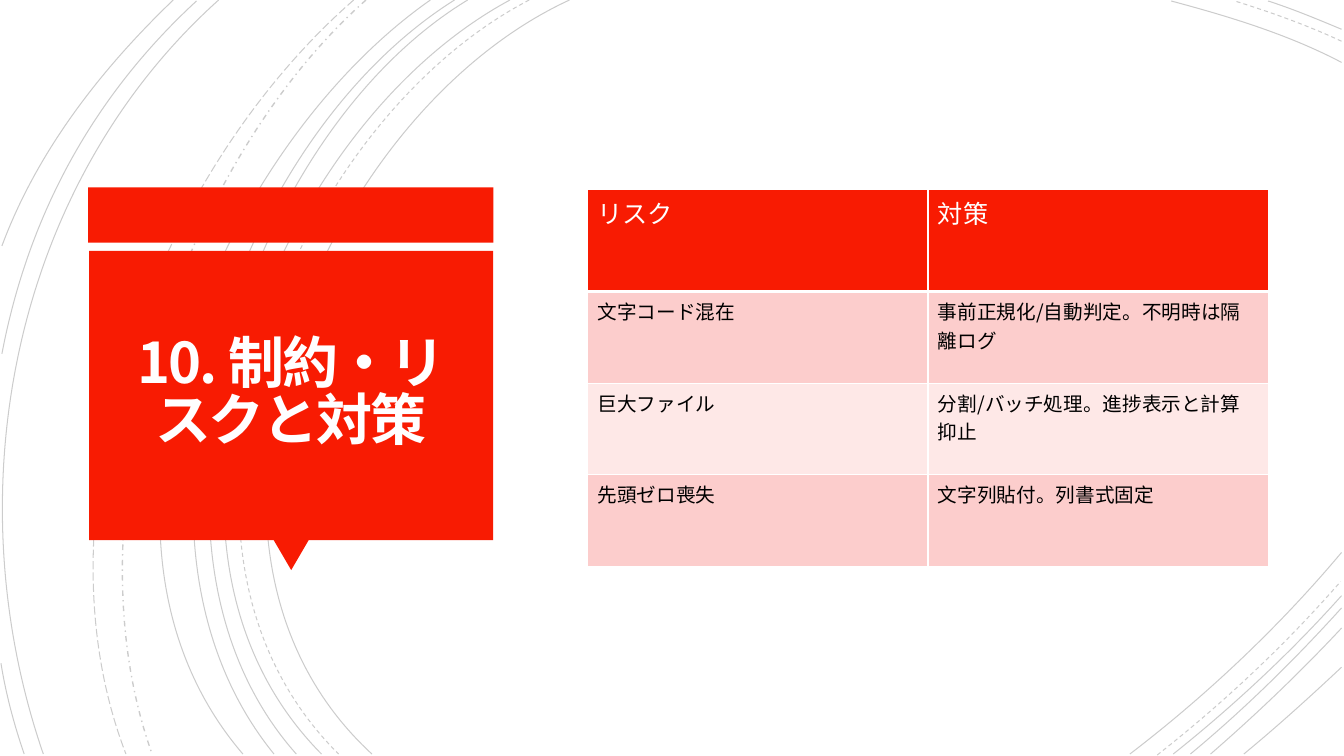
from lxml.etree import SubElement
from pptx import Presentation
from pptx.dml.color import RGBColor
from pptx.enum.dml import MSO_LINE
from pptx.enum.shapes import MSO_SHAPE
from pptx.enum.text import MSO_ANCHOR, PP_ALIGN
from pptx.oxml.ns import qn
from pptx.util import Pt

# Content
TITLE = "10. 制約・リスクと対策"
RISKS = [
    ("リスク", "対策"),
    ("文字コード混在", "事前正規化/自動判定。不明時は隔離ログ"),
    ("巨大ファイル", "分割/バッチ処理。進捗表示と計算抑止"),
    ("先頭ゼロ喪失", "文字列貼付。列書式固定"),
]

THEME = {
    "font": "Noto Sans CJK JP",
    "accent": "F81B02", "title": "FFFEFF", "white": "FFFFFF", "ink": "000000",
    "bands": ("FCCDCC", "FEE8E7"),
    "title_size": 40, "head_size": 18, "body_size": 14,
    "arc_opacity": 20, "arc_width": 0.75, "border": 1, "head_border": 3,
}

# Background arcs by dash style: start, two control points and end, in points
ARCS = {
    MSO_LINE.SOLID: [
        (406.8, 0, 226.8, 82.8, 103, 388.8, 265.7, 538.6),
        (958.3, 44.6, 920.2, 24.5, 877, 11.5, 836.6, 0.7),
        (807.1, 538.6, 861.8, 496.8, 913.7, 447.8, 958.3, 394.6),
        (364.3, 0, 194.4, 91.4, 79.2, 386.6, 229.7, 538.6),
        (958.3, 20.9, 941, 13.7, 923.8, 6.5, 905.8, 0.7),
        (838.1, 538.6, 880.6, 504.7, 921.6, 466.6, 958.3, 425.5),
        (334.1, 0, 175.7, 95.8, 79.2, 389.5, 211.7, 538.6),
        (850.3, 538.6, 888.5, 506.9, 924.5, 471.6, 958.3, 434.2),
        (324.7, 0, 166.3, 99.4, 69.8, 383.8, 195.8, 538.6),
        (864.7, 538.6, 897.1, 510.5, 928.8, 480.2, 958.3, 448.6),
        (307.4, 0, 156.2, 105.8, 38.2, 380.9, 173.5, 538.6),
        (888.5, 538.6, 912.2, 519.1, 935.3, 498.2, 958.3, 476.6),
        (156.2, 0, 7.9, 133.2, -33.1, 352.8, 31, 538.6),
        (140.4, 0.7, 66.2, 69.1, 20.2, 154.1, 1.4, 252.7),
        (0.7, 473.8, 4.3, 496.1, 10.1, 517.7, 17.3, 538.6),
        (123.8, 0, 72, 49.7, 26.6, 108, 1.4, 175.7),
    ],
    MSO_LINE.DASH: [
        (378, 0, 205.2, 90, 88.6, 386.6, 241.9, 538.6),
        (958.3, 29.5, 933.8, 18, 907.2, 8.6, 882, 0.7),
        (826.6, 539.3, 873.4, 502.6, 918, 460.8, 957.6, 415.4),
    ],
    MSO_LINE.DASH_DOT: [(261.4, 0, 126.7, 119.5, 46.8, 366.5, 108.7, 538.6)],
    MSO_LINE.LONG_DASH: [(252.7, 0, 113, 121.7, 20.9, 359.3, 90, 538.6)],
}

# Title panel: shape, left, top, width, height, rotation
PANEL = [
    (MSO_SHAPE.RECTANGLE, 63, 133.8, 289.4, 39.6, 0),
    (MSO_SHAPE.ISOSCELES_TRIANGLE, 195.4, 385.6, 25.2, 21.6, 180),
    (MSO_SHAPE.RECTANGLE, 63.6, 179.3, 288.7, 206.6, 0),
]
TITLE_BOX = (69.8, 185, 275.8, 193.7)
TITLE_INSET = 18
TABLE_LEFT, TABLE_TOP, COL_WIDTH = 419.6, 135.2, 243.2
HEAD_HEIGHT, ROW_HEIGHT = 73.1, 65.4


def rgb(name):
    return RGBColor.from_string(THEME.get(name, name))


def draw_arc(s, curve, dash):
    x, y, *rest = map(Pt, curve)
    builder = s.shapes.build_freeform(x, y)
    builder.add_line_segments(list(zip(rest[::2], rest[1::2])), close=False)
    sp = builder.convert_to_shape()
    sp.shadow.inherit = False
    sp.fill.background()
    sp.line.color.rgb = rgb("ink")
    sp.line.width = Pt(1 if dash == MSO_LINE.DASH_DOT else THEME["arc_width"])
    sp.line.dash_style = dash
    color = next(sp.line._ln.iter(qn("a:srgbClr")))
    SubElement(color, qn("a:alpha"), val=str(THEME["arc_opacity"] * 1000))

    # Turn the three segments into one cubic curve
    outline = next(sp._element.iter(qn("a:path")))
    segments = outline.findall(qn("a:lnTo"))
    cubic = SubElement(outline, qn("a:cubicBezTo"))
    for segment in segments:
        cubic.append(segment[0])
        outline.remove(segment)


def add_run(p, text, size, color):
    r = p.add_run()
    r.text = text
    r.font.size = Pt(size)
    r.font.name = THEME["font"]
    r.font.color.rgb = rgb(color)
    SubElement(r._r.get_or_add_rPr(), qn("a:ea"), typeface=THEME["font"])
    return r


def add_borders(cell, bottom):
    tc_pr = cell._tc.get_or_add_tcPr()
    thin = THEME["border"]
    for side, width in (("L", thin), ("R", thin), ("T", thin), ("B", bottom)):
        ln = SubElement(tc_pr, qn(f"a:ln{side}"), w=str(Pt(width)))
        fill = SubElement(ln, qn("a:solidFill"))
        SubElement(fill, qn("a:srgbClr"), val=THEME["white"])


def main():
    prs = Presentation()
    prs.slide_width, prs.slide_height = Pt(960), Pt(540)
    s = prs.slides.add_slide(prs.slide_layouts[6])

    # Background arcs
    for dash, curves in ARCS.items():
        for curve in curves:
            draw_arc(s, curve, dash)

    # Title panel
    for kind, *box, rotation in PANEL:
        sp = s.shapes.add_shape(kind, *map(Pt, box))
        sp.rotation = rotation
        sp.shadow.inherit = False
        sp.fill.solid()
        sp.fill.fore_color.rgb = rgb("accent")
        sp.line.fill.background()

    # Title
    tf = s.shapes.add_textbox(*map(Pt, TITLE_BOX)).text_frame
    tf.word_wrap = True
    tf.vertical_anchor = MSO_ANCHOR.MIDDLE
    tf.margin_left = tf.margin_right = Pt(TITLE_INSET)
    tf.margin_top = tf.margin_bottom = Pt(TITLE_INSET)
    p = tf.paragraphs[0]
    p.alignment = PP_ALIGN.CENTER
    p.line_spacing = 0.85
    r = add_run(p, TITLE, THEME["title_size"], "title")
    r.font.bold = True
    r._r.get_or_add_rPr().set("spc", "-150")

    # Risk table
    n_rows, n_cols = len(RISKS), len(RISKS[0])
    table = s.shapes.add_table(
        n_rows, n_cols, Pt(TABLE_LEFT), Pt(TABLE_TOP), Pt(COL_WIDTH * n_cols),
        Pt(HEAD_HEIGHT + ROW_HEIGHT * (n_rows - 1))).table
    for col in table.columns:
        col.width = Pt(COL_WIDTH)
    for i, texts in enumerate(RISKS):
        head = i == 0
        table.rows[i].height = Pt(HEAD_HEIGHT if head else ROW_HEIGHT)
        for j, text in enumerate(texts):
            cell = table.cell(i, j)
            add_borders(cell, THEME["head_border" if head else "border"])
            cell.fill.solid()
            cell.fill.fore_color.rgb = rgb("accent" if head else THEME["bands"][(i - 1) % 2])
            add_run(cell.text_frame.paragraphs[0], text,
                    THEME["head_size" if head else "body_size"],
                    "white" if head else "ink")

    prs.save("out.pptx")


if __name__ == "__main__":
    main()
